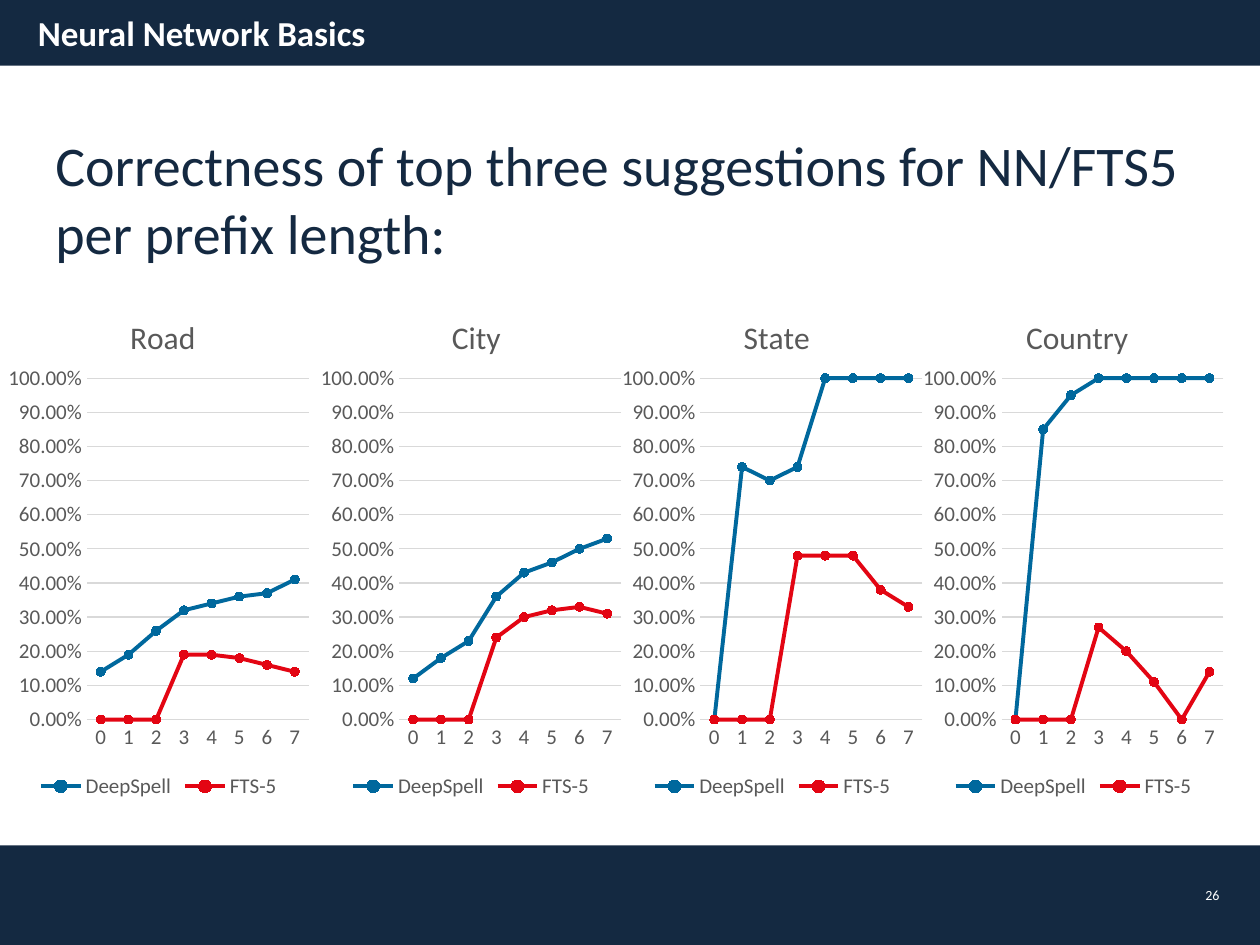
from dataclasses import dataclass

from lxml.etree import SubElement
from pptx import Presentation
from pptx.chart.data import CategoryChartData
from pptx.dml.color import RGBColor
from pptx.enum.chart import XL_CHART_TYPE as ChartType
from pptx.enum.chart import XL_LEGEND_POSITION as LegendPosition
from pptx.enum.chart import XL_MARKER_STYLE as Marker
from pptx.enum.chart import XL_TICK_MARK as Tick
from pptx.enum.shapes import MSO_SHAPE as Shape
from pptx.enum.text import MSO_ANCHOR as Anchor
from pptx.enum.text import MSO_AUTO_SIZE as AutoSize
from pptx.enum.text import PP_ALIGN as Align
from pptx.oxml.ns import qn
from pptx.util import Pt


@dataclass(frozen=True)
class Theme:
    font: str = "Calibri"
    navy: RGBColor = RGBColor(0x14, 0x29, 0x41)
    white: RGBColor = RGBColor(0xFF, 0xFF, 0xFF)
    grey: RGBColor = RGBColor(0x59, 0x59, 0x59)
    grid: RGBColor = RGBColor(0xD9, 0xD9, 0xD9)
    blue: RGBColor = RGBColor(0x00, 0x68, 0x9D)
    red: RGBColor = RGBColor(0xE3, 0x05, 0x13)
    heading_size: float = 32
    title_size: float = 20
    chart_title_size: float = 18
    label_size: float = 12
    number_size: float = 8


@dataclass(frozen=True)
class Box:
    left: float
    top: float
    width: float
    height: float

    def lengths(self):
        return Pt(self.left), Pt(self.top), Pt(self.width), Pt(self.height)


@dataclass(frozen=True)
class Panel:
    title: str
    left: float
    title_left: float  # fraction of the chart width
    deep_spell: tuple
    fts5: tuple


THEME = Theme()
WIDTH, HEIGHT = 720, 540
PREFIX_LENGTHS = [str(n) for n in range(8)]
CHART_TOP, CHART_WIDTH, CHART_HEIGHT = 159.12, 178.56, 300.24
CITY_LEFT, PANEL_STEP = 180, 172.08

PANELS = (
    Panel("City", CITY_LEFT, 0.42,
          (0.12, 0.18, 0.23, 0.36, 0.43, 0.46, 0.5, 0.53),
          (0, 0, 0, 0.24, 0.3, 0.32, 0.33, 0.31)),
    Panel("State", CITY_LEFT + PANEL_STEP, 0.39,
          (0, 0.74, 0.7, 0.74, 1, 1, 1, 1),
          (0, 0, 0, 0.48, 0.48, 0.48, 0.38, 0.33)),
    Panel("Country", CITY_LEFT + 2 * PANEL_STEP, 0.33,
          (0, 0.85, 0.95, 1, 1, 1, 1, 1),
          (0, 0, 0, 0.27, 0.2, 0.11, 0, 0.14)),
    Panel("Road", 1.44, 0.39,
          (0.14, 0.19, 0.26, 0.32, 0.34, 0.36, 0.37, 0.41),
          (0, 0, 0, 0.19, 0.19, 0.18, 0.16, 0.14)),
)


def format_font(font, size: float, color: RGBColor, bold: bool = False) -> None:
    font.name, font.size, font.bold = THEME.font, Pt(size), bold
    font.color.rgb = color


def write_text(frame, text: str, *, size: float, color: RGBColor, bold: bool = False,
               align=Align.LEFT, anchor=Anchor.TOP, inset: bool = True) -> None:
    frame.word_wrap = True
    frame.auto_size = AutoSize.NONE
    frame.vertical_anchor = anchor
    if not inset:
        frame.margin_left = frame.margin_right = frame.margin_top = frame.margin_bottom = 0
    paragraph = frame.paragraphs[0]
    paragraph.alignment = align
    run = paragraph.add_run()
    run.text = text
    format_font(run.font, size, color, bold)


def add_bar(slide, box: Box) -> None:
    bar = slide.shapes.add_shape(Shape.ROUNDED_RECTANGLE, *box.lengths())
    bar.adjustments[0] = 0
    bar.shadow.inherit = False
    bar.fill.solid()
    bar.fill.fore_color.rgb = THEME.navy
    bar.line.fill.background()


def set_layout(element, position: int, **fractions: float) -> None:
    """Place a chart part by fractions of the chart's size."""
    for old in element.findall(qn("c:layout")):
        element.remove(old)
    layout = SubElement(element, qn("c:layout"))
    element.insert(position, layout)
    manual = SubElement(layout, qn("c:manualLayout"))
    if "w" in fractions:
        SubElement(manual, qn("c:layoutTarget")).set("val", "inner")
    for side in ("xMode", "yMode"):
        SubElement(manual, qn(f"c:{side}")).set("val", "edge")
    for key, value in fractions.items():
        SubElement(manual, qn(f"c:{key}")).set("val", str(value))


def format_axes(chart) -> None:
    lengths, correctness = chart.category_axis, chart.value_axis
    for axis in (lengths, correctness):
        axis.major_tick_mark = axis.minor_tick_mark = Tick.NONE
        format_font(axis.tick_labels.font, THEME.label_size, THEME.grey)
    correctness.minimum_scale, correctness.maximum_scale = 0, 1
    correctness.major_unit = 0.1
    correctness.tick_labels.number_format = "0.00%"
    correctness.tick_labels.number_format_is_linked = False
    correctness.format.line.fill.background()
    for line in (lengths.format.line, correctness.major_gridlines.format.line):
        line.color.rgb = THEME.grid
        line.width = Pt(0.75)


def format_series(series, color: RGBColor) -> None:
    series.smooth = False
    series.format.line.color.rgb = color
    series.format.line.width = Pt(2.25)
    series.marker.style, series.marker.size = Marker.CIRCLE, 5
    series.marker.format.fill.solid()
    series.marker.format.fill.fore_color.rgb = color
    series.marker.format.line.color.rgb = color


def add_panel(slide, panel: Panel) -> None:
    results = CategoryChartData(number_format="0.00%")
    results.categories = PREFIX_LENGTHS
    results.add_series("DeepSpell", panel.deep_spell)
    results.add_series("FTS-5", panel.fts5)
    box = Box(panel.left, CHART_TOP, CHART_WIDTH, CHART_HEIGHT)
    chart = slide.shapes.add_chart(ChartType.LINE_MARKERS, *box.lengths(), results).chart
    format_font(chart.font, 10, RGBColor(0, 0, 0))

    # Title above the plot
    chart.has_title = True
    heading = chart.chart_title.text_frame.paragraphs[0].add_run()
    heading.text = panel.title
    format_font(heading.font, THEME.chart_title_size, THEME.grey)
    set_layout(chart.chart_title._element, 1, x=panel.title_left, y=0.06)
    chart.chart_title.include_in_layout = False

    # Plot and legend
    set_layout(chart._chartSpace.chart.plotArea, 0, x=0.27, y=0.19, w=0.71, h=0.65)
    format_axes(chart)
    chart.plots[0].vary_by_categories = False
    for series, color in zip(chart.plots[0].series, (THEME.blue, THEME.red)):
        format_series(series, color)
    chart.has_legend = True
    chart.legend.position = LegendPosition.BOTTOM
    chart.legend.include_in_layout = False
    format_font(chart.legend.font, THEME.label_size, THEME.grey)


def main() -> None:
    deck = Presentation()
    deck.slide_width, deck.slide_height = Pt(WIDTH), Pt(HEIGHT)
    slide = deck.slides.add_slide(deck.slide_layouts[5])

    # Footer and header bars, page number
    add_bar(slide, Box(0, 483.12, WIDTH, 56.88))
    add_bar(slide, Box(0, 0, WIDTH, 37.44))
    page = slide.shapes.add_textbox(*Box(350.64, 496.8, 346.32, 28.8).lengths())
    write_text(page.text_frame, "26", size=THEME.number_size, color=THEME.white,
               align=Align.RIGHT, anchor=Anchor.MIDDLE, inset=False)

    # Slide title, in front of the header bar
    title = slide.shapes.title
    title.left, title.top, title.width, title.height = Box(14.4, 2.88, 442.08, 31.68).lengths()
    write_text(title.text_frame, "Neural Network Basics", size=THEME.title_size,
               color=THEME.white, bold=True, anchor=Anchor.MIDDLE)
    slide.shapes._spTree.append(title._element)

    # Heading and the four charts
    heading = slide.shapes.add_textbox(*Box(24.48, 71.28, 663.84, 51.12).lengths())
    write_text(heading.text_frame,
               "Correctness of top three suggestions for NN/FTS5 per prefix length:",
               size=THEME.heading_size, color=THEME.navy)
    for panel in PANELS:
        add_panel(slide, panel)

    deck.save("out.pptx")


if __name__ == "__main__":
    main()
